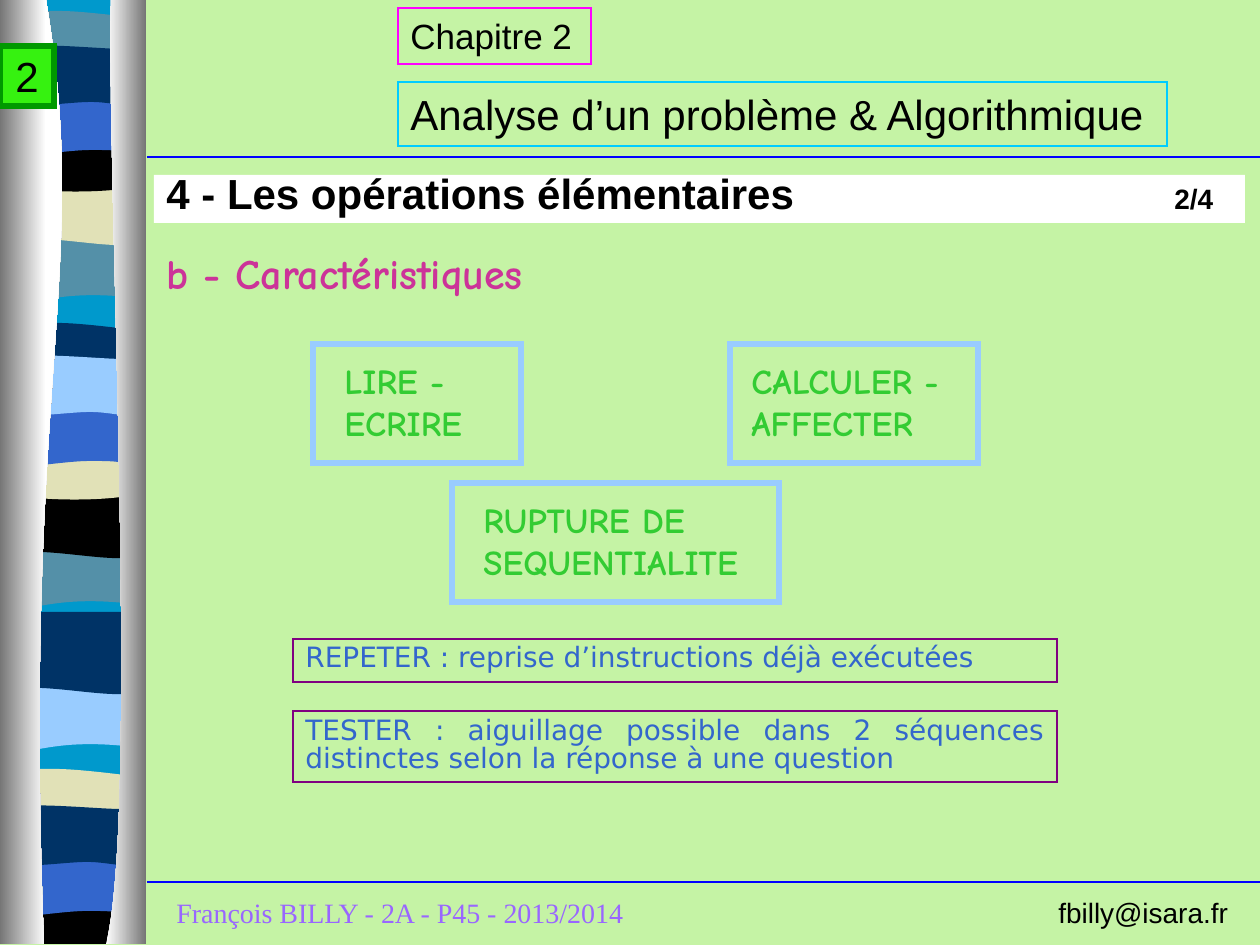
from lxml import etree
from pptx import Presentation
from pptx.dml.color import RGBColor
from pptx.enum.shapes import MSO_CONNECTOR, MSO_SHAPE
from pptx.enum.text import MSO_ANCHOR, PP_ALIGN
from pptx.oxml.ns import qn
from pptx.util import Pt

PX = 914400 / 126
LEFT, CENTER, JUSTIFY = PP_ALIGN.LEFT, PP_ALIGN.CENTER, PP_ALIGN.JUSTIFY
TOP, MIDDLE = MSO_ANCHOR.TOP, MSO_ANCHOR.MIDDLE
RECTANGLE, STRAIGHT = MSO_SHAPE.RECTANGLE, MSO_CONNECTOR.STRAIGHT

BLUE, NAVY, SKY, SLATE = "3366CC", "003366", "99CCFF", "5490A8"
SAND, BLACK, TEAL, WHITE, GREY = "E1E1B7", "000000", "0099CC", "FFFFFF", "767676"

# Outlines: a pair is a corner, a sextet is a curve (two controls, then its end).
WAVES = {
    "swell": [(137, -12), (137, 66), (42, 53, 23, 79, 0, 66), (0, -12)],
    "ripple": [(137, -12), (137, 66), (114, 79, 42, 57, 0, 66), (0, -12)],
    "lens": [(137, 1), (137, 43), (114, 50, 23, 50, 0, 43), (0, 1),
             (9, -8, 29, -7, 52, -7), (75, -7, 119, -1, 137, 1)],
    "bowl": [(137, -6), (137, 48), (114, 58, 23, 58, 0, 48), (0, -6),
             (84, 2, 108, -6, 137, -6)],
    "arch": [(137, -6), (137, 65), (116, 58, 107, 58, 84, 58),
             (61, 58, 20, 65, 0, 65), (0, -6)],
    "drift": [(137, 0), (137, 53), (128, 61, 107, 53, 84, 53),
              (61, 53, 14, 61, 0, 53), (0, 0), (19, -8, 93, 0, 116, 0)],
    "base": [(137, 0), (137, 47), (0, 47), (0, 0), (84, 6, 108, 0, 137, 0)],
    "backdrop": [(137, 0), (137, 944), (0, 944), (0, 0)],
}
BANDS = [
    ("backdrop", 7, 0, TEAL),
    ("swell", 7, 233, SLATE), ("ripple", 8, 175, SAND), ("lens", 8, 18, SLATE),
    ("bowl", 7, 136, BLACK), ("arch", 7, 92, BLUE), ("drift", 7, 49, NAVY),
    ("swell", 4, 539, SLATE), ("ripple", 6, 488, BLACK), ("lens", 6, 330, NAVY),
    ("bowl", 6, 444, SAND), ("arch", 6, 403, BLUE), ("drift", 6, 359, SKY),
    ("swell", 4, 682, SKY), ("ripple", 5, 624, NAVY), ("lens", 4, 776, SAND),
    ("base", 4, 897, BLACK), ("arch", 3, 853, BLUE), ("drift", 3, 809, NAVY),
]
PILLARS = [
    ([(46, 0), (92, 272, 22, 373, 44, 944), (0, 944), (0, 0)], (GREY, WHITE)),
    ([(111, 0), (106, 157, 140, 814, 106, 944), (146, 944), (146, 0)], (WHITE, GREY)),
]
RULES = [882, 157]
HEADINGS = [
    ("Chapitre 2", (398, 8, 193, 56), dict(size=20, line="FF00FF")),
    ("Analyse d’un problème & Algorithmique", (398, 82, 769, 64),
     dict(size=24, line="00CCFF")),
    ("2", (0, 46, 54, 60), dict(size=24, fill="36F210", line="009900", weight=3,
                                align=CENTER, anchor=MIDDLE, wrap=False)),
    ("b - Caractéristiques", (154, 241, 494, 63),
     dict(size=24, font="Comic Neue", color="CC3399", bold=True)),
]
OPERATIONS = [
    ("LIRE - ECRIRE", (313, 344, 208, 119), (332, 353, 179, 97)),
    ("CALCULER - AFFECTER", (730, 344, 248, 119), (739, 353, 238, 97)),
    ("RUPTURE DE SEQUENTIALITE", (452, 483, 327, 119), (471, 492, 307, 97)),
]
DEFINITIONS = [
    ("REPETER : reprise d’instructions déjà exécutées", (293, 639, 764, 43)),
    ("TESTER : aiguillage possible dans 2 séquences distinctes "
     "selon la réponse à une question", (293, 711, 764, 71)),
]


def px(length):
    return round(length * PX)


def rgb(color):
    return RGBColor.from_string(color)


def paint(shape, fill=None, line=None, weight=0.75):
    shape.shadow.inherit = False
    if fill:
        shape.fill.solid()
        shape.fill.fore_color.rgb = rgb(fill)
    else:
        shape.fill.background()
    if line:
        shape.line.color.rgb = rgb(line)
        shape.line.width = Pt(weight)
        etree.SubElement(shape.line._get_or_add_ln(), qn("a:miter"), lim="800000")
    else:
        shape.line.fill.background()


def add_outline(slide, outline, left=0, top=0):
    """Draw a closed outline, turning each sextet into a Bézier segment."""
    nodes = [[px(value + (left, top)[i % 2]) for i, value in enumerate(node)]
             for node in outline]
    builder = slide.shapes.build_freeform(*nodes[0], scale=1.0)
    builder.add_line_segments([node[-2:] for node in nodes[1:]], close=True)
    shape = builder.convert_to_shape()
    origin = (shape.left, shape.top)
    segments = list(shape._element.iter(qn("a:lnTo")))
    for segment, node in zip(segments, nodes[1:]):
        if len(node) == 6:
            curve = etree.Element(qn("a:cubicBezTo"))
            for i in (0, 2, 4):
                etree.SubElement(curve, qn("a:pt"), x=str(node[i] - origin[0]),
                                 y=str(node[i + 1] - origin[1]))
            segment.getparent().replace(segment, curve)
    return shape


def add_frame(slide, place, **look):
    frame = slide.shapes.add_shape(RECTANGLE, *map(px, place))
    paint(frame, **look)
    return frame


def add_text(slide, text, place, size=16, font="Arial", color=BLACK, bold=False,
             align=LEFT, anchor=TOP, wrap=True, spacing=None, fill=None, line=None,
             weight=0.75, tab=None, tail=None, tail_size=16):
    """Write text in a box, with an optional tail set at a tab stop."""
    if fill or line:
        box = add_frame(slide, place, fill=fill, line=line, weight=weight)
    else:
        box = slide.shapes.add_textbox(*map(px, place))
    body = box.text_frame
    body.word_wrap = wrap
    body.vertical_anchor = anchor
    paragraph = body.paragraphs[0]
    paragraph.alignment = align
    if spacing:
        paragraph.line_spacing = spacing
    pieces = [(text, size, font, color)]
    if tail:
        stops = etree.SubElement(paragraph._p.get_or_add_pPr(), qn("a:tabLst"))
        etree.SubElement(stops, qn("a:tab"), pos=str(px(tab)), algn="l")
        pieces = [(text + "\t", size, font, color), (tail, tail_size, "Arial", BLACK)]
    for words, points, face, ink in pieces:
        run = paragraph.add_run()
        run.text = words
        run.font.size, run.font.name, run.font.bold = Pt(points), face, bold
        run.font.color.rgb = rgb(ink)


def main():
    deck = Presentation()
    deck.slide_width, deck.slide_height = px(1260), px(945)
    slide = deck.slides.add_slide(deck.slide_layouts[6])
    slide.background.fill.solid()
    slide.background.fill.fore_color.rgb = rgb("C5F3A5")

    for wave, left, top, color in BANDS:
        paint(add_outline(slide, WAVES[wave], left, top), fill=color)
    for outline, shades in PILLARS:
        pillar = add_outline(slide, outline)
        paint(pillar)
        pillar.fill.gradient()
        pillar.fill.gradient_angle = 0
        for stop, shade in zip(pillar.fill.gradient_stops, shades):
            stop.color.rgb = rgb(shade)

    add_text(slide, "François BILLY - 2A - P45 - 2013/2014", (164, 889, 1077, 47),
             font="Times New Roman", color="9966FF", tab=882, tail="fbilly@isara.fr")
    for height in RULES:
        rule = slide.shapes.add_connector(STRAIGHT, *map(px, (147, height, 1260, height)))
        rule.line.color.rgb = rgb("0000FF")
        rule.line.width = Pt(0.75)
        etree.SubElement(rule._element.spPr, qn("a:effectLst"))

    for text, place, look in HEADINGS:
        add_text(slide, text, place, **look)
    for text, frame, label in OPERATIONS:
        add_text(slide, text, label, size=20, font="Comic Neue", color="33CC33", bold=True)
        add_frame(slide, frame, line=SKY, weight=3)
    for text, place in DEFINITIONS:
        add_text(slide, text, place, font="DejaVu Sans", color=BLUE, align=JUSTIFY,
                 spacing=0.85, line="800080")
    add_text(slide, "4 - Les opérations élémentaires", (154, 175, 1091, 48), size=24,
             bold=True, spacing=0.7, fill=WHITE, tab=1008, tail="2/4")
    deck.save("out.pptx")


if __name__ == "__main__":
    main()
